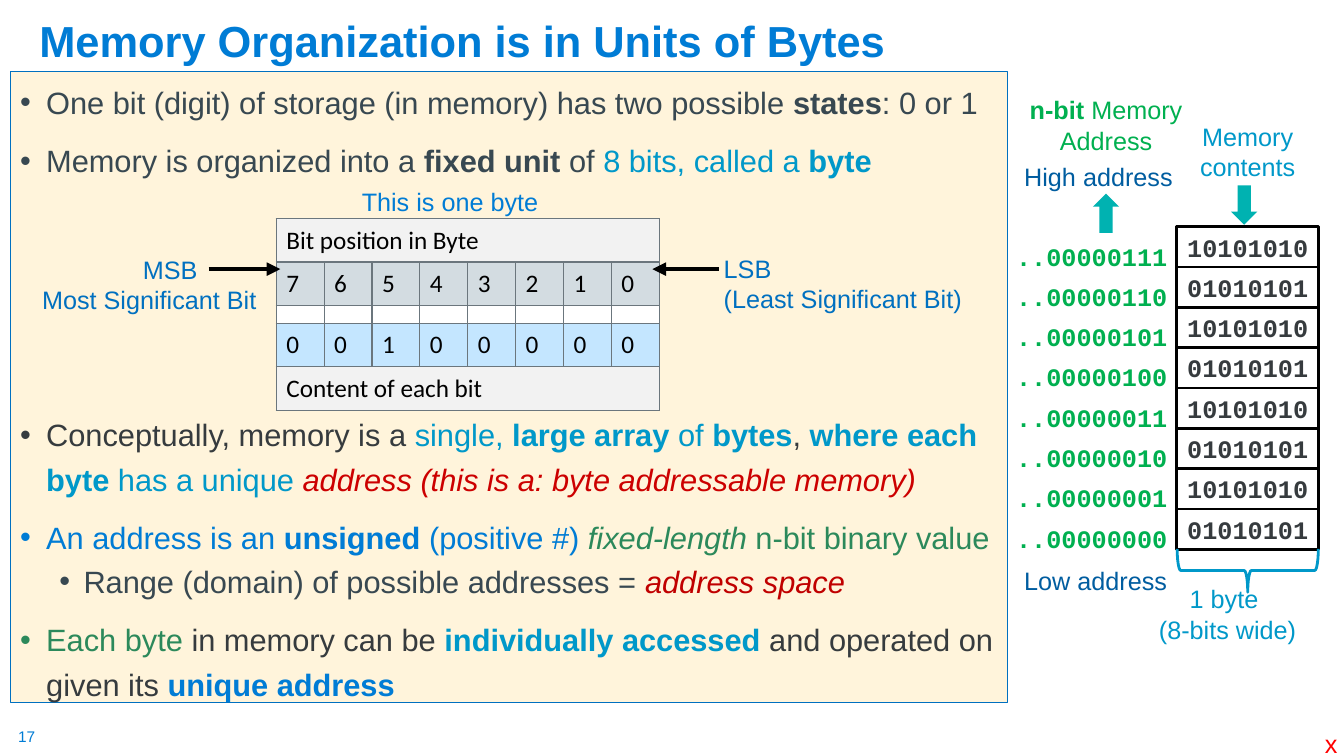
from lxml.etree import SubElement
from pptx import Presentation
from pptx.dml.color import RGBColor
from pptx.enum.shapes import MSO_CONNECTOR, MSO_SHAPE
from pptx.enum.text import MSO_ANCHOR, PP_ALIGN
from pptx.oxml.ns import qn
from pptx.util import Inches, Pt

SANS, COURIER, MONO = "Arial", "Courier New", "DejaVu Sans Mono"
BLACK = RGBColor(0x00, 0x00, 0x00)
WHITE = RGBColor(0xFF, 0xFF, 0xFF)
BLUE = RGBColor(0x00, 0x7C, 0xD5)
LABEL_BLUE = RGBColor(0x00, 0x70, 0xC0)
DEEP_BLUE = RGBColor(0x00, 0x5D, 0xA0)
CYAN = RGBColor(0x00, 0x98, 0xC9)
TEAL = RGBColor(0x00, 0xB2, 0xB1)
GREEN = RGBColor(0x00, 0xB0, 0x50)
FOREST = RGBColor(0x2C, 0x89, 0x5B)
RED = RGBColor(0xFF, 0x00, 0x00)
CRIMSON = RGBColor(0xCC, 0x00, 0x00)
DARK_RED = RGBColor(0xC0, 0x00, 0x00)
SLATE = RGBColor(0x38, 0x48, 0x51)
CHARCOAL = RGBColor(0x36, 0x3B, 0x3E)
CREAM = RGBColor(0xFF, 0xF4, 0xDB)
PALE_GREY = RGBColor(0xF2, 0xF2, 0xF2)
BLUE_GREY = RGBColor(0xD3, 0xDC, 0xE1)
SKY = RGBColor(0xC4, 0xE6, 0xFF)
ROW_PITCH = 0.4

# Runs are (text, colour, style), where style may hold "b" and "i".
# Points are (level, points before, runs).
POINTS = [
    (0, 10, [("One bit (digit) of storage (in memory) has two possible ", SLATE, ""),
             ("states", SLATE, "b"), (": 0 or 1", SLATE, "")]),
    (0, 10, [("Memory is organized into a ", SLATE, ""), ("fixed unit ", SLATE, "b"),
             ("of ", SLATE, ""), ("8 bits, called a ", CYAN, ""), ("byte", CYAN, "b")]),
    (0, 164, [("Conceptually, memory is a ", CHARCOAL, ""), ("single, ", CYAN, ""),
              ("large array ", CYAN, "b"), ("of ", CYAN, ""), ("bytes", CYAN, "b"),
              (", ", CHARCOAL, ""), ("where each byte ", CYAN, "b"),
              ("has a unique ", CYAN, ""),
              ("address (this is a: byte addressable memory)", CRIMSON, "i")]),
    (0, 10, [("An address is an ", BLUE, ""), ("unsigned", BLUE, "b"),
             (" (positive #) ", BLUE, ""), ("fixed-length", FOREST, "i"),
             (" n-bit binary value", FOREST, "")]),
    (1, 5, [("Range (domain) of possible addresses = ", SLATE, ""),
            ("address space", DARK_RED, "i")]),
    (0, 10, [("Each byte ", FOREST, ""), ("in memory can be ", CHARCOAL, ""),
             ("individually accessed", CYAN, "b"),
             (" and operated on given its ", CHARCOAL, ""), ("unique address", BLUE, "b")]),
]


class SlideBuilder:
    def __init__(self, presentation):
        self.slide = presentation.slides.add_slide(presentation.slide_layouts[5])
        self.shapes = self.slide.shapes

    def style(self, paragraph, color, size=18, font=SANS, bold=False, align=PP_ALIGN.LEFT):
        paragraph.alignment = align
        paragraph.font.name, paragraph.font.size = font, Pt(size)
        paragraph.font.bold = bold
        paragraph.font.color.rgb = color

    def runs(self, paragraph, parts):
        for text, color, marks in parts:
            run = paragraph.add_run()
            run.text = text
            run.font.color.rgb = color
            run.font.bold, run.font.italic = "b" in marks, "i" in marks

    def title(self, text, left, top, width, height):
        title = self.shapes.title
        title.left, title.top = Inches(left), Inches(top)
        title.width, title.height = Inches(width), Inches(height)
        title.text_frame.text = text
        title.text_frame.vertical_anchor = MSO_ANCHOR.BOTTOM
        heading = title.text_frame.paragraphs[0]
        heading.line_spacing = 0.9
        self.style(heading, BLUE, 31, bold=True)

    def label(self, text, left, top, width, height, color, inset=True, **style):
        box = self.shapes.add_textbox(Inches(left), Inches(top), Inches(width), Inches(height))
        frame = box.text_frame
        frame.word_wrap = True
        if not inset:
            frame.margin_left = frame.margin_right = frame.margin_top = frame.margin_bottom = 0
        frame.text = text
        for paragraph in frame.paragraphs:
            self.style(paragraph, color, **style)
        return frame

    def shape(self, kind, left, top, width, height, fill=None, line=None, weight=1, turn=0):
        shape = self.shapes.add_shape(kind, Inches(left), Inches(top), Inches(width), Inches(height))
        shape.shadow.inherit = False
        shape.rotation = turn
        if fill is None:
            shape.fill.background()
        else:
            shape.fill.solid()
            shape.fill.fore_color.rgb = fill
        if line is None:
            shape.line.fill.background()
        else:
            shape.line.color.rgb, shape.line.width = line, Pt(weight)
        return shape

    def bullets(self, frame, points):
        frame.word_wrap = True
        frame.vertical_anchor = MSO_ANCHOR.TOP
        for index, (level, before, parts) in enumerate(points):
            paragraph = frame.add_paragraph() if index else frame.paragraphs[0]
            margin, hang = ((0.26, 0.26), (0.63, 0.24))[level]
            props = paragraph._p.get_or_add_pPr()
            props.set("marL", str(Inches(margin)))
            props.set("indent", str(-Inches(hang)))
            SubElement(props, qn("a:buFont"), typeface=SANS)
            SubElement(props, qn("a:buChar"), char="•")
            paragraph.level = level
            paragraph.line_spacing = 1.0 if level else 1.2
            paragraph.space_before = Pt(before)
            self.style(paragraph, parts[0][1], 22)
            self.runs(paragraph, parts)

    def arrow(self, start, end, y):
        line = self.shapes.add_connector(
            MSO_CONNECTOR.STRAIGHT, Inches(start), Inches(y), Inches(end), Inches(y))
        line.line.color.rgb, line.line.width = BLACK, Pt(3.25)
        SubElement(line.line._get_or_add_ln(), qn("a:tailEnd"), type="triangle")
        SubElement(line._element.spPr, qn("a:effectLst"))

    def cell(self, cell, text, fill):
        cell.fill.solid()
        cell.fill.fore_color.rgb = fill
        cell.vertical_anchor = MSO_ANCHOR.MIDDLE
        props = cell._tc.get_or_add_tcPr()
        for position, side in enumerate(("lnL", "lnR", "lnT", "lnB")):
            border = SubElement(props, qn(f"a:{side}"), w=str(Pt(1)))
            SubElement(SubElement(border, qn("a:solidFill")), qn("a:srgbClr"), val="6B767D")
            props.insert(position, border)
        paragraph = cell.text_frame.paragraphs[0]
        if text:
            cell.text_frame.text = text
            self.style(paragraph, SLATE, font=MONO, align=PP_ALIGN.CENTER)
        else:
            cell.margin_top = cell.margin_bottom = 0
            SubElement(paragraph._p, qn("a:endParaRPr"), sz="400")

    def table(self, rows, left, top, width):
        height = sum(row[0] for row in rows)
        table = self.shapes.add_table(
            len(rows), 8, Inches(left), Inches(top), Inches(width), Inches(height)).table
        table.first_row = table.horz_banding = False
        for column in table.columns:
            column.width = Inches(width / 8)
        for r, (row_height, fill, texts) in enumerate(rows):
            table.rows[r].height = Inches(row_height)
            for c in range(8):
                self.cell(table.cell(r, c), texts[c] if c < len(texts) else "", fill)
            if len(texts) == 1:
                table.cell(r, 0).merge(table.cell(r, 7))


def main():
    presentation = Presentation()
    presentation.slide_width, presentation.slide_height = Inches(13.33), Inches(7.5)
    page = SlideBuilder(presentation)
    center = PP_ALIGN.CENTER

    # Title and main points
    page.title("Memory Organization is in Units of Bytes", 0.29, 0.11, 11.5, 0.6)
    panel = page.shape(MSO_SHAPE.RECTANGLE, 0.1, 0.71, 9.89, 6.26, CREAM, LABEL_BLUE, 0.75)
    page.bullets(panel.text_frame, POINTS)

    # Memory addresses and contents, from high to low
    for row in range(8):
        offset = row * ROW_PITCH
        page.label(f"..{7 - row:08b}", 9.98, 2.34 + offset, 1.8, 0.4, GREEN,
                   font=COURIER, bold=True)
        byte = page.shape(MSO_SHAPE.RECTANGLE, 11.67, 2.25 + offset, 1.41, ROW_PITCH,
                          line=BLACK, weight=2)
        byte.text_frame.text = ("10101010", "01010101")[row % 2]
        page.style(byte.text_frame.paragraphs[0], CHARCOAL, font=COURIER, bold=True, align=center)

    # Memory labels, arrows and brace
    heading = page.label("\nAddress", 9.62, 0.89, 2.7, 0.71, GREEN, align=center)
    page.runs(heading.paragraphs[0], [("n-bit", GREEN, "b"), (" Memory", GREEN, "")])
    page.label("High address", 10.06, 1.55, 1.71, 0.4, DEEP_BLUE)
    page.label("Low address", 10.06, 5.56, 1.77, 0.4, DEEP_BLUE)
    page.label("Memory\ncontents", 11.49, 1.15, 1.77, 0.71, CYAN, align=center)
    page.label("1 byte \n(8-bits wide)", 11.29, 5.74, 1.77, 0.71, CYAN, align=center)
    page.shape(MSO_SHAPE.UP_ARROW, 10.84, 1.92, 0.26, 0.39, TEAL)
    page.shape(MSO_SHAPE.UP_ARROW, 12.21, 1.84, 0.26, 0.39, TEAL, turn=180)
    page.shape(MSO_SHAPE.RIGHT_BRACE, 12.16, 4.96, 0.43, 1.4, line=CYAN, weight=2, turn=90)

    # One byte and its bit positions
    page.label("This is one byte", 3.49, 1.8, 2.1, 0.4, BLUE)
    page.table([
        (0.43, PALE_GREY, ["Bit position in Byte"]),
        (0.43, BLUE_GREY, "76543210"),
        (0.18, WHITE, ""),
        (0.43, SKY, "00100000"),
        (0.43, PALE_GREY, ["Content of each bit"]),
    ], 2.74, 2.17, 3.8)
    most = page.label("MSB\nMost Significant Bit", 0.32, 2.47, 2.5, 0.71, LABEL_BLUE)
    most.paragraphs[0]._p.get_or_add_pPr().set("marL", str(Inches(1)))
    page.label("LSB\n(Least Significant Bit)", 7.08, 2.46, 2.7, 0.71, LABEL_BLUE)
    page.arrow(2.07, 2.78, 2.67)
    page.arrow(7.13, 6.47, 2.67)

    # Footer
    page.label("17", 0.18, 7.21, 0.3, 0.19, BLUE, inset=False, size=11)
    page.label("x", 13.14, 7.23, 0.19, 0.27, RED, inset=False)

    presentation.save("out.pptx")


if __name__ == "__main__":
    main()
